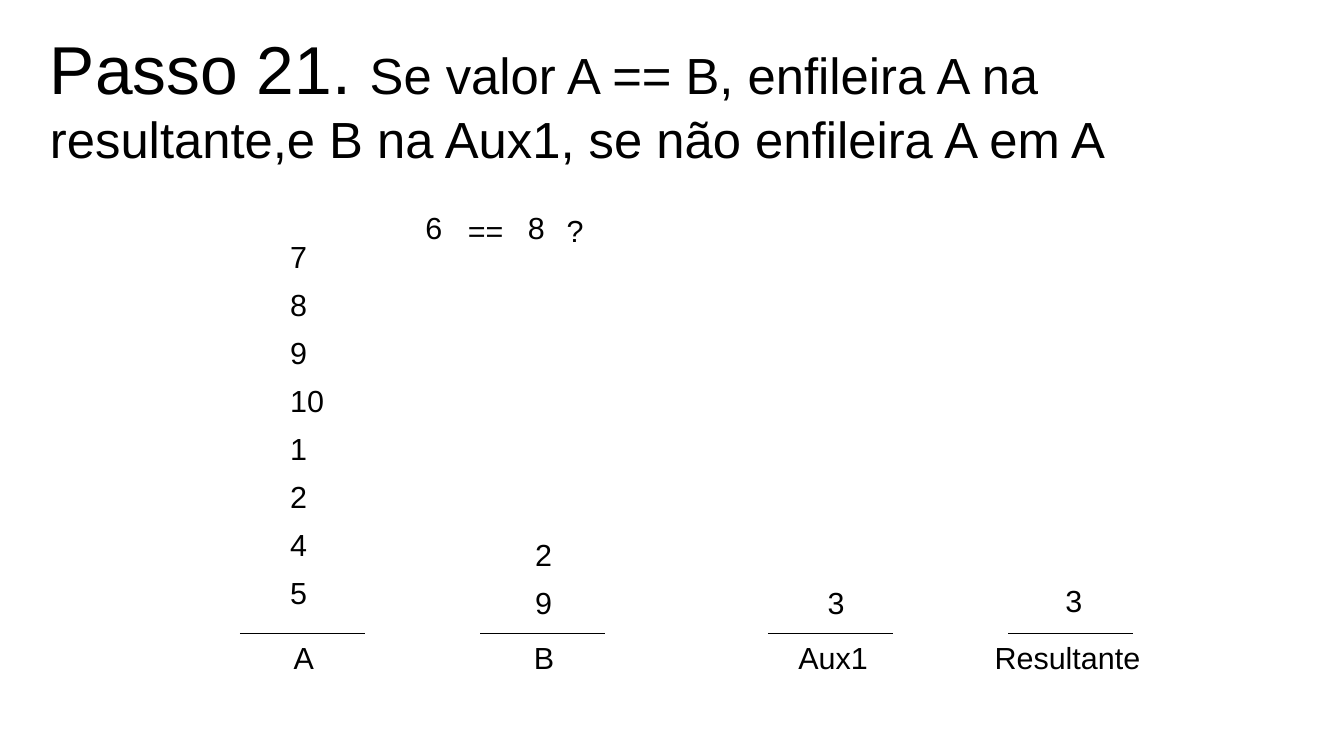
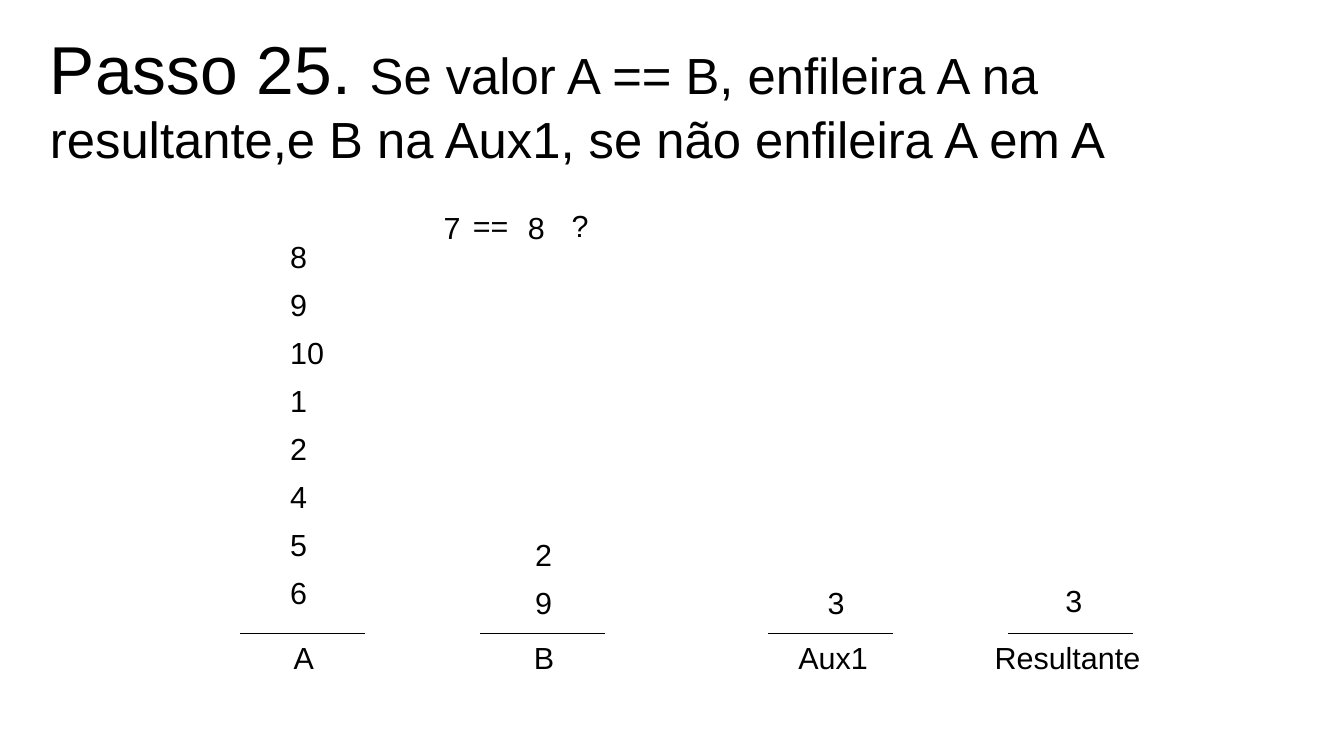
from dataclasses import dataclass

from lxml import etree
from pptx import Presentation
from pptx.dml.color import RGBColor
from pptx.enum import shapes, text
from pptx.oxml import ns
from pptx.util import Pt


@dataclass(frozen=True)
class Theme:
    font: str = "Arial"
    ink: RGBColor = RGBColor(0, 0, 0)
    step_size: int = 40
    rule_size: int = 30
    body_size: int = 18
    hairline: float = 0.1


theme = Theme()
RULE = "Se valor A == B, enfileira A na resultante,e B na Aux1, se não enfileira A em A"
BASE_Y = 374.2
BASE_LENGTH = 73.7
LABEL_Y = 373.9
ROW_STEP = 28.35
LABEL_HEIGHT = 27.4
DIGIT_WIDTH = 24.5

# name, base line left, label left, label width, values left, values width, lowest value top
queues = [
    ("A", 141.7, 166.3, 77, 164.2, 39.6, 335.5),
    ("B", 283.5, 308.2, 25.9, 308.9, DIGIT_WIDTH, 341.5),
    ("Aux1", 453.5, 464.4, 55.4, 481.7, DIGIT_WIDTH, 341.5),
    ("Resultante", 595.3, 580.3, 103, 622.1, DIGIT_WIDTH, 340),
]

# Queue values run from top to bottom; comparison parts are text, left, top, width.
steps = [
    {
        "number": 21,
        "values": {"A": [7, 8, 9, 10, 1, 2, 4, 5], "B": [2, 9], "Aux1": [3], "Resultante": [3]},
        "comparison": [
            ("6", 244.1, 120.2, DIGIT_WIDTH),
            ("==", 269.3, 121.7, 35.5),
            ("8", 304.6, 120.2, DIGIT_WIDTH),
            ("?", 327.6, 121.7, DIGIT_WIDTH),
        ],
    },
    {
        "number": 25,
        "values": {"A": [8, 9, 10, 1, 2, 4, 5, 6], "B": [2, 9], "Aux1": [3], "Resultante": [3]},
        "comparison": [
            ("7", 254.9, 120.2, DIGIT_WIDTH),
            ("==", 272.2, 119, 35.5),
            ("8", 304.6, 120.2, DIGIT_WIDTH),
            ("?", 330.5, 119, DIGIT_WIDTH),
        ],
    },
]


def style_font(font, size):
    font.name = theme.font
    font.size = Pt(size)
    font.color.rgb = theme.ink


def add_label(slide, wording, left, top, width):
    label = slide.shapes.add_textbox(Pt(left), Pt(top), Pt(width), Pt(LABEL_HEIGHT))
    frame = label.text_frame
    frame.word_wrap = False
    frame.auto_size = text.MSO_AUTO_SIZE.SHAPE_TO_FIT_TEXT
    frame.text = wording
    style_font(frame.paragraphs[0].font, theme.body_size)


deck = Presentation()
deck.slide_width, deck.slide_height = Pt(793.7), Pt(446.5)
title_only = deck.slide_layouts[5]

for step in steps:
    slide = deck.slides.add_slide(title_only)

    title = slide.shapes.title
    title.left, title.top, title.width, title.height = Pt(22.3), Pt(12.2), Pt(748.1), Pt(118.8)
    frame = title.text_frame
    frame.word_wrap = True
    frame.auto_size = text.MSO_AUTO_SIZE.NONE
    frame.vertical_anchor = text.MSO_ANCHOR.TOP
    heading = frame.paragraphs[0]
    heading.alignment = text.PP_ALIGN.LEFT
    for wording, size in ((f"Passo {step['number']}. ", theme.step_size), (RULE, theme.rule_size)):
        run = heading.add_run()
        run.text = wording
        style_font(run.font, size)

    for name, base_left, label_left, label_width, values_left, values_width, lowest in queues:
        base = slide.shapes.add_connector(
            shapes.MSO_CONNECTOR.STRAIGHT,
            Pt(base_left), Pt(BASE_Y), Pt(base_left + BASE_LENGTH), Pt(BASE_Y),
        )
        base.line.color.rgb = theme.ink
        base.line.width = Pt(theme.hairline)
        etree.SubElement(base._element.spPr, ns.qn("a:effectLst"))
        add_label(slide, name, label_left, LABEL_Y, label_width)
        for row, value in enumerate(reversed(step["values"][name])):
            add_label(slide, str(value), values_left, lowest - row * ROW_STEP, values_width)

    for part in step["comparison"]:
        add_label(slide, *part)

deck.save("out.pptx")
